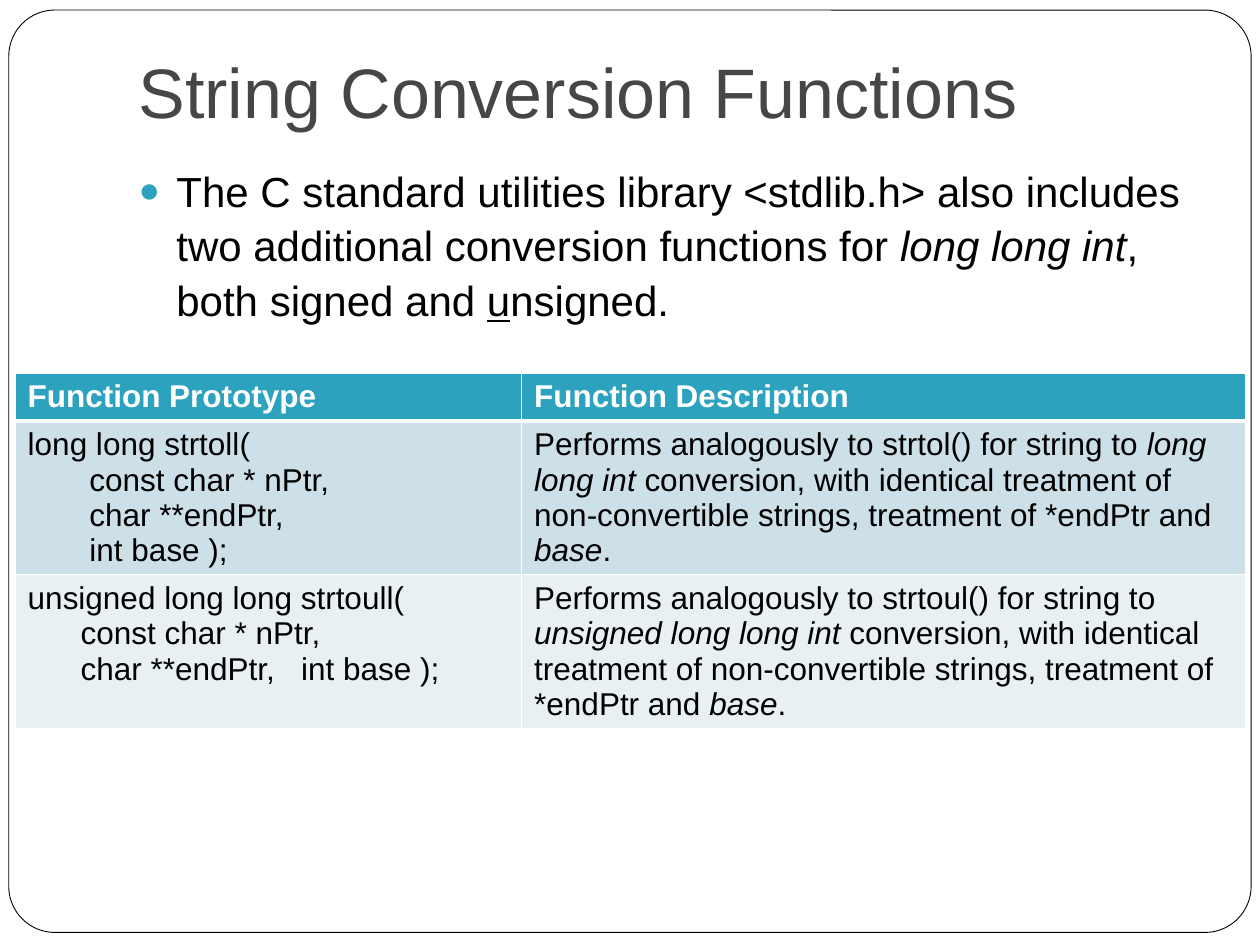
from dataclasses import dataclass

from lxml import etree
from pptx import Presentation
from pptx.dml.color import RGBColor
from pptx.enum.shapes import MSO_SHAPE
from pptx.enum.text import MSO_ANCHOR, MSO_AUTO_SIZE, PP_ALIGN
from pptx.oxml.ns import qn
from pptx.util import Inches, Pt

ROUND = MSO_SHAPE.ROUNDED_RECTANGLE
TOP, BOTTOM = MSO_ANCHOR.TOP, MSO_ANCHOR.BOTTOM
NO_FIT, LEFT = MSO_AUTO_SIZE.NONE, PP_ALIGN.LEFT
WIDE, HIGH = 10, 7.5


@dataclass(frozen=True)
class Theme:
    """Colours, font and type sizes of the slide."""
    font: str = "Arial"
    head: int = 40
    body: int = 24
    cell: int = 18
    ink: str = "000000"
    grey: str = "464646"
    paper: str = "FFFFFF"
    teal: str = "2DA2BF"
    bands: tuple = ("CDE0E8", "E8F0F4")


LOOK = Theme()

# A paragraph is (indent in inches, runs); a run is (text, style),
# where the style is "" for plain, "i" for italic, "u" for underlined.
INTRO = [
    ("The C standard utilities library <stdlib.h> also includes "
     "two additional conversion functions for ", ""),
    ("long long int", "i"), (", both signed and ", ""),
    ("u", "u"), ("nsigned.", ""),
]


def code(first, indent, *rest):
    """Give the paragraphs of a prototype with its arguments set in."""
    return [(0, [(first, "")])] + [(indent, [(line, "")]) for line in rest]


def about(name, kind):
    """Give the paragraph that describes one function."""
    return [(0, [
        (f"Performs analogously to {name}() for string to ", ""), (kind, "i"),
        (" conversion, with identical treatment of non-convertible strings, "
         "treatment of *endPtr and ", ""), ("base", "i"), (".", "")])]


ROWS = [
    [code("Function Prototype", 0), code("Function Description", 0)],
    [code("long long strtoll( ", 0.49, "const char * nPtr, ",
          "char **endPtr, ", "int base );"),
     about("strtol", "long long int")],
    [code("unsigned long long strtoull( ", 0.42, "const char * nPtr, ",
          "char **endPtr,   int base );"),
     about("strtoul", "unsigned long long int")],
]


def rgb(code):
    """Turn a hex code into a colour."""
    return RGBColor.from_string(code)


def write(frame, paras, size, color, bold=False):
    """Fill a text frame with paragraphs of styled runs."""
    frame.word_wrap = True
    for i, (indent, runs) in enumerate(paras):
        para = frame.paragraphs[0] if i == 0 else frame.add_paragraph()
        para.alignment = LEFT
        if indent:
            para._p.get_or_add_pPr().set("marL", str(Inches(indent)))
        for text, style in runs:
            run = para.add_run()
            run.text = text
            font = run.font
            font.name, font.size, font.bold = LOOK.font, Pt(size), bold
            font.italic, font.underline = style == "i", style == "u"
            font.color.rgb = rgb(color)


def place(shape, box):
    """Move a shape to a box of left, top, width and height."""
    shape.left, shape.top, shape.width, shape.height = map(Inches, box)


def border(cell, side, width):
    """Draw one edge of a cell."""
    line = etree.Element(qn(f"a:{side}"), w=str(Pt(width)))
    fill = etree.SubElement(line, qn("a:solidFill"))
    etree.SubElement(fill, qn("a:srgbClr"), val=LOOK.paper)
    return line


def add_rim(slide, box):
    """Put the rounded frame behind everything else."""
    rim = slide.shapes.add_shape(ROUND, *map(Inches, box))
    rim.adjustments[0] = 0.05
    rim.shadow.inherit = False
    rim.fill.solid()
    rim.fill.fore_color.rgb = rgb(LOOK.paper)
    rim.line.color.rgb = rgb(LOOK.ink)
    rim.line.width = Pt(0.5)
    slide.shapes._spTree.insert(2, rim._element)


def add_title(slide, box):
    """Set the title along the bottom of its box."""
    title = slide.shapes.title
    place(title, box)
    frame = title.text_frame
    write(frame, code("String Conversion Functions", 0), LOOK.head, LOOK.grey)
    frame.auto_size, frame.vertical_anchor = NO_FIT, BOTTOM
    frame.margin_bottom = Inches(0.1)


def add_list(slide, box):
    """Set the bulleted introduction."""
    body = slide.placeholders[1]
    place(body, box)
    frame = body.text_frame
    write(frame, [(0.3, INTRO)], LOOK.body, LOOK.ink)
    frame.auto_size, frame.vertical_anchor = NO_FIT, TOP
    para = frame.paragraphs[0]
    para.space_before, para.line_spacing = Pt(5.8), 1.08
    props = para._p.get_or_add_pPr()
    props.set("indent", str(Inches(-0.3)))
    tint = etree.SubElement(props, qn("a:buClr"))
    etree.SubElement(tint, qn("a:srgbClr"), val=LOOK.teal)
    etree.SubElement(props, qn("a:buSzPct"), val="85000")
    etree.SubElement(props, qn("a:buFont"), typeface=LOOK.font)
    etree.SubElement(props, qn("a:buChar"), char="●")


def add_grid(slide, box, cols, rows):
    """Build the function table from column and row sizes."""
    grid = slide.shapes.add_table(
        len(rows), len(cols), *map(Inches, box)).table
    for col, width in zip(grid.columns, cols):
        col.width = Inches(width)
    for r, (row, height) in enumerate(zip(ROWS, rows)):
        grid.rows[r].height = Inches(height)
        head = r == 0
        for c, paras in enumerate(row):
            cell = grid.cell(r, c)
            write(cell.text_frame, paras, LOOK.cell,
                  LOOK.paper if head else LOOK.ink, bold=head)
            edges = {"lnL": 1, "lnR": 1, "lnT": 3 if r == 1 else 1,
                     "lnB": 3 if head else 1}
            props = cell._tc.get_or_add_tcPr()
            props.extend(border(cell, *edge) for edge in edges.items())
            cell.fill.solid()
            cell.fill.fore_color.rgb = rgb(
                LOOK.teal if head else LOOK.bands[r - 1])


def main():
    """Build and save the slide."""
    deck = Presentation()
    deck.slide_width, deck.slide_height = Inches(WIDE), Inches(HIGH)
    slide = deck.slides.add_slide(deck.slide_layouts[1])
    left, span = 0.1 * WIDE, 0.85 * WIDE
    add_rim(slide, (0.07, 0.08, 9.86, 7.32))
    add_title(slide, (left, 0.04 * HIGH, span, 0.85))
    add_list(slide, (left, 1.23, span, 5.35))
    cols, rows = (4.02, 5.75), (0.37, 1.22, 1.22)
    add_grid(slide, (0.12, 2.96, sum(cols), sum(rows)), cols, rows)
    deck.save("out.pptx")


main()
